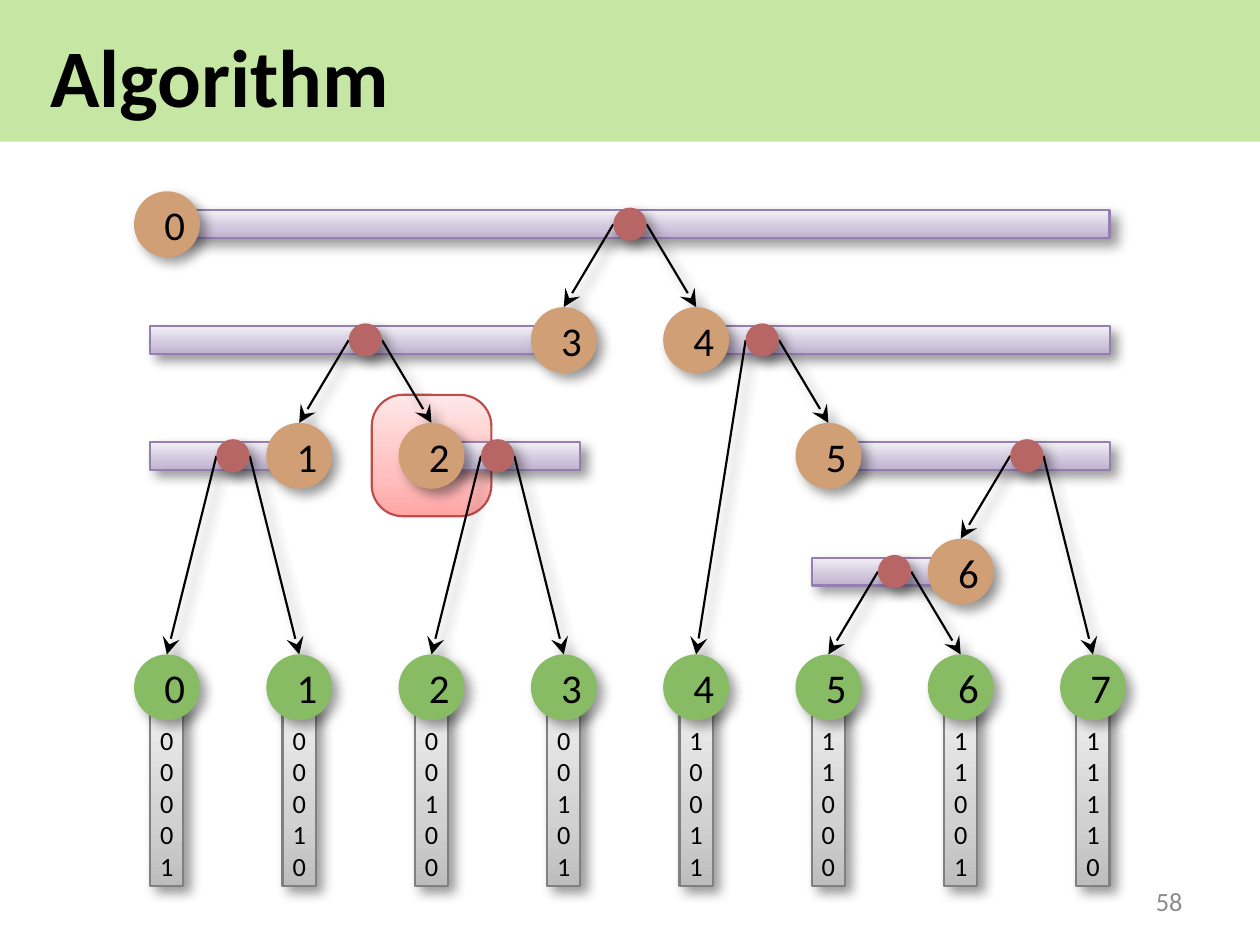
import pptx
import pptx.util
import pptx.dml.color
import pptx.enum.shapes
import pptx.enum.text
import pptx.oxml
import pptx.oxml.ns

Pt = pptx.util.Pt
RGB = pptx.dml.color.RGBColor.from_string
MSO = pptx.enum.shapes.MSO_SHAPE
ANCHOR = pptx.enum.text.MSO_ANCHOR
ALIGN = pptx.enum.text.PP_ALIGN
qn = pptx.oxml.ns.qn
NS = pptx.oxml.ns.nsdecls("a")

THEME = {
    "font": "Calibri",
    "text": "000000",
    "muted": "8C8C8C",
    "header": "92D050",
    "leaf": "88BC64",
    "node": "D19F75",
    "split": "B76565",
    "highlight": [(0, "FFA6A5"), (35, "FFC0BF"), (100, "FFE7E7")],
    "highlight_line": "BF4C48",
    "range": [(0, "BFB2D0"), (40, "D3C9DE"), (100, "F2F0F6")],
    "range_line": "957EB0",
    "code": [(0, "BDBDBD"), (35, "D1D1D1"), (100, "EEEEEE")],
    "code_line": "808080",
    "title_size": 28,
    "label_size": 14,
    "small_size": 9,
}
SHADOW = (
    f'<a:effectLst {NS}><a:outerShdw blurRad="50800" dist="38100" dir="2700000" '
    'algn="tl" rotWithShape="0"><a:srgbClr val="000000"><a:alpha val="40000"/>'
    '</a:srgbClr></a:outerShdw></a:effectLst>'
)

prs = pptx.Presentation()
prs.slide_width, prs.slide_height = Pt(432), Pt(324)
s = prs.slides.add_slide(prs.slide_layouts[6])


def add_shape(kind, cx, cy, w, h, fill, line=None, shadow=True):
    sp = s.shapes.add_shape(kind, Pt(cx - w / 2), Pt(cy - h / 2), Pt(w), Pt(h))
    if isinstance(fill, str):
        sp.fill.solid()
        sp.fill.fore_color.rgb = RGB(fill)
    else:
        sp.fill.gradient()
        sp.fill.gradient_angle = 90
        stops = next(sp._element.spPr.iter(qn("a:gsLst")))
        stops.clear()
        for pos, color in fill:
            stops.append(pptx.oxml.parse_xml(
                f'<a:gs {NS} pos="{pos * 1000}"><a:srgbClr val="{color}"/></a:gs>'))
    if line:
        sp.line.color.rgb = RGB(line)
        sp.line.width = Pt(0.75)
    else:
        sp.line.fill.background()
    if shadow:
        sp._element.spPr.append(pptx.oxml.parse_xml(SHADOW))
    else:
        sp.shadow.inherit = False
    return sp


def write(sp, text, size, color=THEME["text"], align=ALIGN.CENTER,
          anchor=ANCHOR.MIDDLE, inset=(7.2, 3.6), bold=False):
    tf = sp.text_frame
    tf.word_wrap = True
    tf.vertical_anchor = anchor
    tf.margin_left = tf.margin_right = Pt(inset[0])
    tf.margin_top = tf.margin_bottom = Pt(inset[1])
    p = tf.paragraphs[0]
    p.text = text
    p.alignment = align
    p.font.name = THEME["font"]
    p.font.size = Pt(size)
    p.font.bold = bold
    p.font.color.rgb = RGB(color)


codes = ["00001", "00010", "00100", "00101", "10011", "11000", "11001", "11110"]
col = [57.24 + 45.36 * i for i in range(len(codes))]
row = [76.9 + 39.7 * i for i in range(5)]
LEAF_ROW = 4
CIRCLE, DOT, BAR = 22.6, 11.4, 9.5

# index, level, first leaf, last leaf, last leaf of the left half
nodes = [
    (0, 0, 0, 7, 3),
    (3, 1, 0, 3, 1),
    (4, 1, 4, 7, 4),
    (1, 2, 0, 1, 0),
    (2, 2, 2, 3, 2),
    (5, 2, 5, 7, 6),
    (6, 3, 5, 6, 5),
]

header = add_shape(MSO.RECTANGLE, 216.7, 24.3, 433.4, 48.6, THEME["header"], shadow=False)
header_color = next(header._element.spPr.iter(qn("a:srgbClr")))
header_color.append(pptx.oxml.parse_xml(f'<a:alpha {NS} val="52000"/>'))
highlight = add_shape(MSO.ROUNDED_RECTANGLE, 148, 156.2, 41, 41.6,
                      THEME["highlight"], THEME["highlight_line"], shadow=False)
highlight.adjustments[0] = 0.26

title = s.shapes.add_textbox(Pt(12.2), Pt(5.8), Pt(406), Pt(39.6))
write(title, "Algorithm", THEME["title_size"], align=ALIGN.LEFT, inset=(5, 2.9), bold=True)

for index, level, first, last, split in nodes:
    add_shape(MSO.RECTANGLE, (col[first] + col[last]) / 2, row[level],
              col[last] - col[first] + DOT, BAR, THEME["range"], THEME["range_line"])

for index, level, first, last, split in nodes:
    x = (col[split] + col[split + 1]) / 2
    for side, child, is_leaf in ((-1, split, first == split), (1, split + 1, last == split + 1)):
        child_row = LEAF_ROW if is_leaf else level + 1
        cn = s.shapes.add_connector(
            pptx.enum.shapes.MSO_CONNECTOR.STRAIGHT,
            Pt(x + side * DOT / 2), Pt(row[level]),
            Pt(col[child]), Pt(row[child_row] - CIRCLE / 2))
        cn.line.color.rgb = RGB(THEME["text"])
        cn.line.width = Pt(0.75)
        cn.line._get_or_add_ln().append(pptx.oxml.parse_xml(f'<a:tailEnd {NS} type="stealth"/>'))
        cn._element.spPr.append(pptx.oxml.parse_xml(SHADOW))

for x, code in zip(col, codes):
    sp = add_shape(MSO.RECTANGLE, x, 272.5, DOT, 62.6, THEME["code"], THEME["code_line"])
    write(sp, code, THEME["small_size"], anchor=ANCHOR.BOTTOM, inset=(1.44, 1.44))

for i, x in enumerate(col):
    sp = add_shape(MSO.OVAL, x, row[LEAF_ROW], CIRCLE, CIRCLE, THEME["leaf"])
    write(sp, str(i), THEME["label_size"])

for index, level, first, last, split in nodes:
    add_shape(MSO.OVAL, (col[split] + col[split + 1]) / 2, row[level], DOT, DOT, THEME["split"])

for index, level, first, last, split in nodes:
    sp = add_shape(MSO.OVAL, col[index], row[level], CIRCLE, CIRCLE, THEME["node"])
    write(sp, str(index), THEME["label_size"])

number = s.shapes.add_textbox(Pt(309.6), Pt(300.3), Pt(100.8), Pt(17.3))
write(number, "58", THEME["small_size"], THEME["muted"], ALIGN.RIGHT, inset=(5, 2.9))

prs.save("out.pptx")
